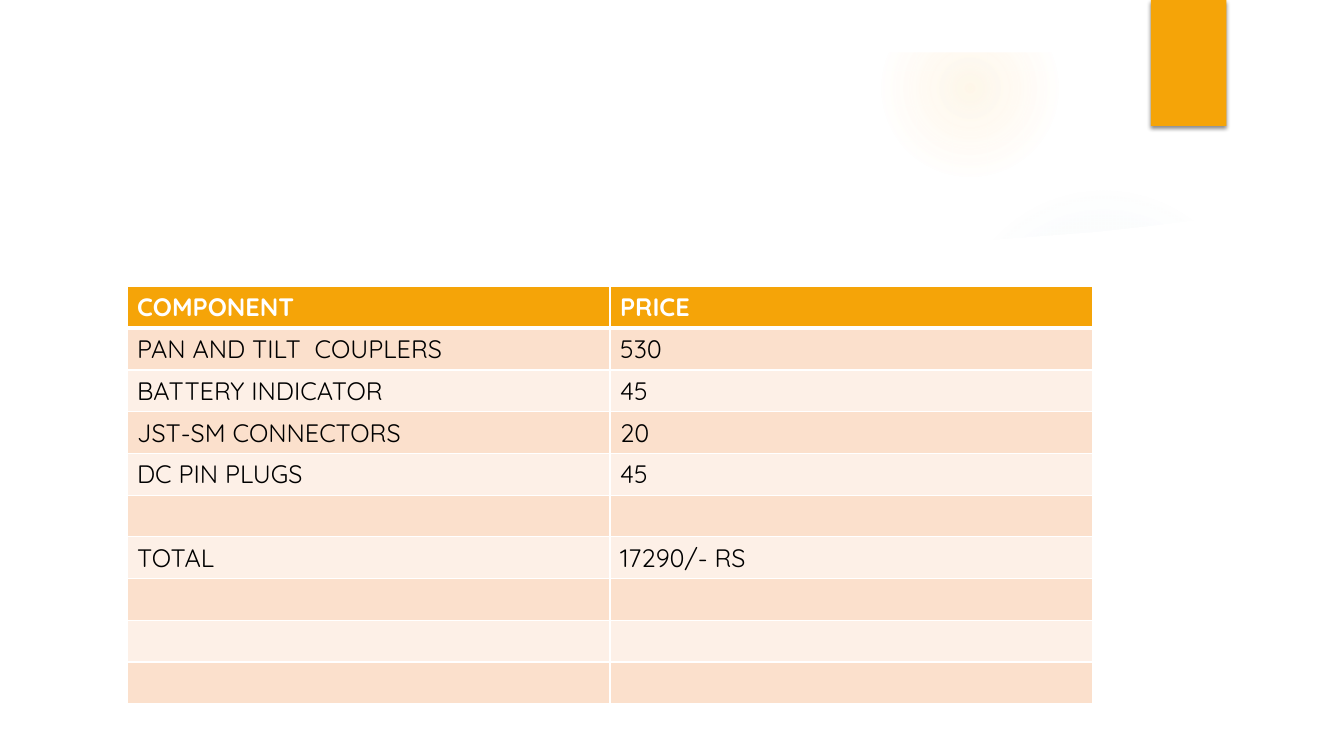
from lxml import etree
from pptx import Presentation, util as u
from pptx.dml.color import RGBColor
from pptx.enum import shapes
from pptx.oxml.ns import qn

COLORS = {
    "white": "FFFFFF", "black": "000000", "accent": "F5A408",
    "sun": "FAC96A", "sky": "8EBBD2", "odd": "FBE0CC", "even": "FDF0E7",
}
ROWS = [
    ("COMPONENT", "PRICE"),
    ("PAN AND TILT  COUPLERS", "530"),
    ("BATTERY INDICATOR", "45"),
    ("JST-SM CONNECTORS", "20"),
    ("DC PIN PLUGS", "45"),
    ("", ""),
    ("TOTAL", "17290/- RS"),
    ("", ""),
    ("", ""),
    ("", ""),
]
WAVE = [
    (48, 196), (48, 672), (1233, 672), (1233, 196), (1152, 208), (1098, 215),
    (1044, 221), (991, 225), (937, 229), (858, 234), (755, 237), (655, 238),
    (537, 236), (426, 231), (309, 223), (180, 212), (90, 202),
]


def px(n):
    return u.Emu(n * 9525)


def add(parent, tag, **attrs):
    return etree.SubElement(parent, qn(tag), {k: str(v) for k, v in attrs.items()})


def add_color(parent, color, alpha=100):
    clr = add(parent, "a:srgbClr", val=COLORS[color])
    if alpha < 100:
        add(clr, "a:alpha", val=alpha * 1000)


class Canvas:
    font = "Quicksand"
    size = 18

    def __init__(self, slide):
        self.s = slide

    def paint(self, fill, color):
        fill.solid()
        fill.fore_color.rgb = RGBColor.from_string(COLORS[color])

    def finish(self, sp, color):
        sp.shadow.inherit = False
        self.paint(sp.fill, color)
        sp.line.fill.background()
        return sp

    def shape(self, kind, x, y, w, h, color):
        sp = self.s.shapes.add_shape(kind, px(x), px(y), px(w), px(h))
        return self.finish(sp, color)

    def frame(self, w, h, border, color):
        sp = self.shape(shapes.MSO_SHAPE.FRAME, 0, 0, w, h, color)
        sp.adjustments[0] = border / min(w, h)

    def glow(self, x, y, d, color, stops):
        sp = self.shape(shapes.MSO_SHAPE.OVAL, x, y, d, d, color)
        solid = sp._element.spPr.find(qn("a:solidFill"))
        grad = etree.Element(qn("a:gradFill"), rotWithShape="1")
        gs_list = add(grad, "a:gsLst")
        for pos, alpha in stops:
            add_color(add(gs_list, "a:gs", pos=pos * 1000), color, alpha)
        circle = add(grad, "a:path", path="circle")
        add(circle, "a:fillToRect", l=50000, t=50000, r=50000, b=50000)
        solid.getparent().replace(solid, grad)

    def outline(self, points, color):
        fb = self.s.shapes.build_freeform(*points[0], scale=px(1))
        fb.add_line_segments(points[1:], close=True)
        self.finish(fb.convert_to_shape(), color)

    def drop_shadow(self, sp, alpha, blur, dist):
        effects = sp._element.spPr.find(qn("a:effectLst"))
        shadow = add(effects, "a:outerShdw", blurRad=u.Pt(blur), dist=u.Pt(dist),
                     dir=5400000, algn="ctr", rotWithShape=0)
        add_color(shadow, "black", alpha)

    def borders(self, cell, widths):
        tc_pr = cell._tc.get_or_add_tcPr()
        for side, width in zip("LRTB", widths):
            ln = add(tc_pr, f"a:ln{side}", w=u.Pt(width))
            add_color(add(ln, "a:solidFill"), "white")

    def table(self, x, y, col_w, row_h, rows):
        cols = len(rows[0])
        frame = self.s.shapes.add_table(len(rows), cols, px(x), px(y),
                                        px(col_w * cols), px(row_h * len(rows)))
        tbl = frame.table
        for col in tbl.columns:
            col.width = px(col_w)
        for i, values in enumerate(rows):
            tbl.rows[i].height = px(row_h)
            head = i == 0
            band = "accent" if head else "odd" if i % 2 else "even"
            for cell, value in zip(tbl.rows[i].cells, values):
                self.borders(cell, (1, 1, 1, 3 if head else 1))
                self.paint(cell.fill, band)
                p = cell.text_frame.paragraphs[0]
                if value:
                    p.text = value
                p.font.name = self.font
                p.font.size = u.Pt(self.size)
                p.font.bold = head
                p.font.color.rgb = RGBColor.from_string(
                    COLORS["white" if head else "black"])


def main():
    prs = Presentation()
    prs.slide_width, prs.slide_height = px(1280), px(720)
    c = Canvas(prs.slides.add_slide(prs.slide_layouts[6]))
    c.glow(903, 176, 296, "sky", [(0, 7), (36, 6), (69, 0), (100, 0)])
    c.glow(840, 0, 168, "sun", [(0, 14), (36, 7), (73, 0), (100, 0)])
    c.outline(WAVE, "white")
    c.frame(1280, 720, 50, "white")
    tab = c.shape(shapes.MSO_SHAPE.RECTANGLE, 1096, 0, 72, 120, "accent")
    c.drop_shadow(tab, 45, 3, 2)
    c.table(121, 273, 460, 39, ROWS)
    prs.save("out.pptx")


if __name__ == "__main__":
    main()
